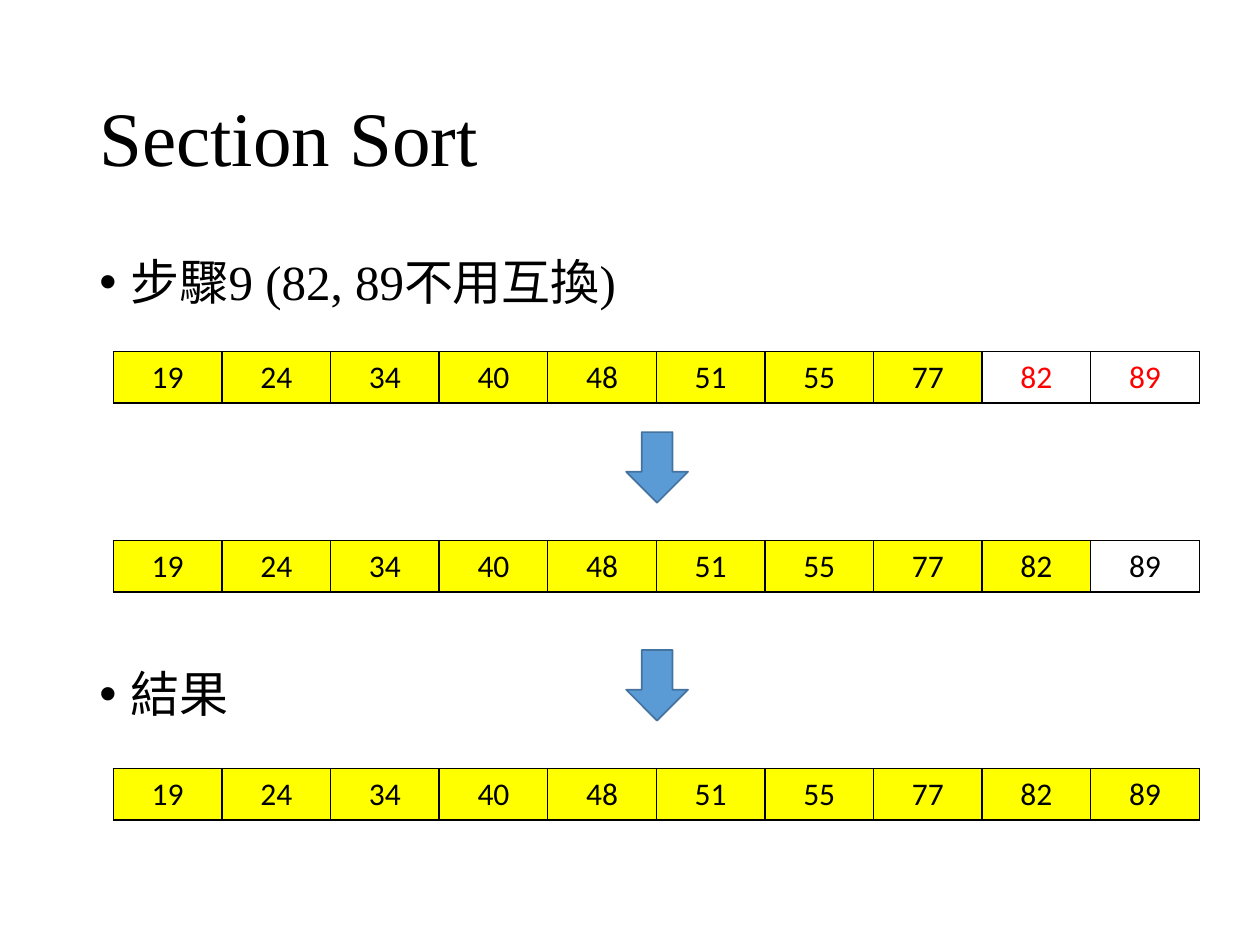
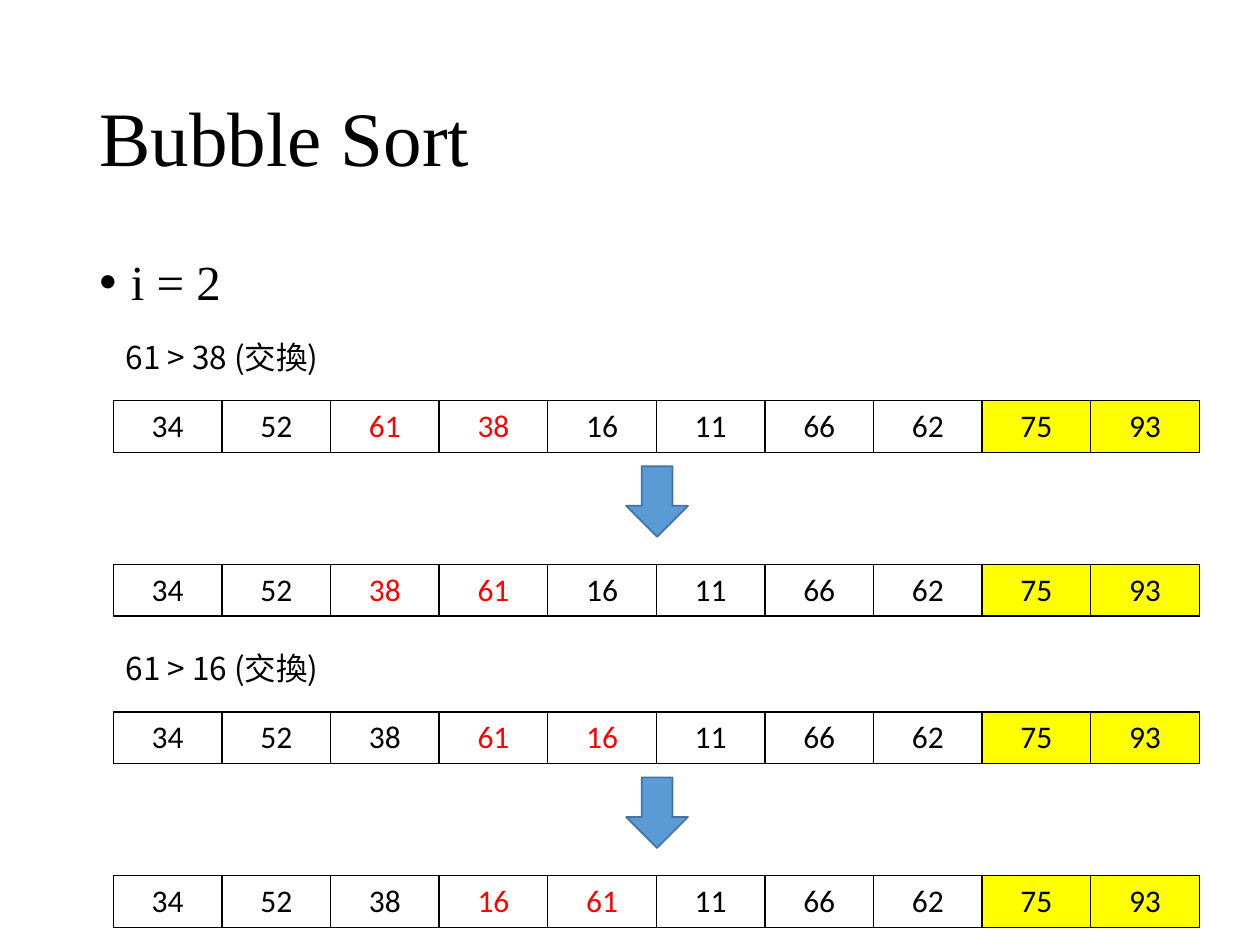
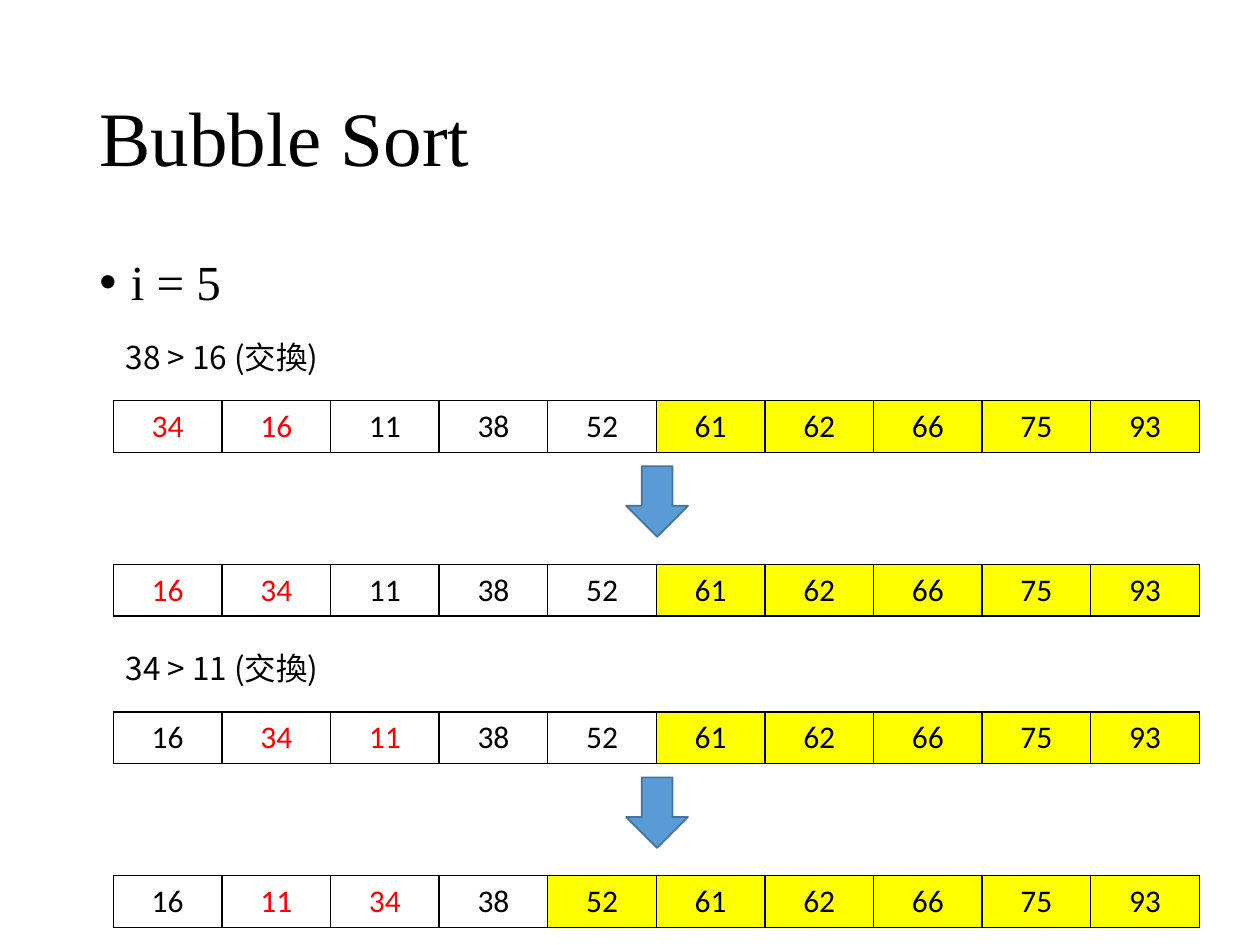
from dataclasses import dataclass

from lxml import etree
from pptx import Presentation
from pptx.dml.color import RGBColor
from pptx.enum.shapes import MSO_SHAPE
from pptx.enum.text import MSO_ANCHOR, MSO_AUTO_SIZE, PP_ALIGN
from pptx.oxml.ns import qn
from pptx.util import Inches, Pt

DOWN_ARROW = MSO_SHAPE.DOWN_ARROW
MIDDLE = MSO_ANCHOR.MIDDLE
CENTER = PP_ALIGN.CENTER
FIT_SHAPE = MSO_AUTO_SIZE.SHAPE_TO_FIT_TEXT

COLORS = {
    "text": "000000",
    "compared": "FF0000",
    "sorted": "FFFF00",
    "border": "000000",
    "arrow": "5B9BD5",
    "arrow_line": "43739E",
}
SERIF = "Times New Roman"
CELL_FONT = "Calibri"
CJK_FONT = "Noto Sans CJK SC"

TEXT_LEFT, TEXT_WIDTH = 0.69, 8.62
ARRAY_LEFT, ARRAY_WIDTH, ARRAY_HEIGHT = 0.9, 8.62, 0.41
ARROW_LEFT, ARROW_WIDTH, ARROW_HEIGHT = 4.97, 0.49, 0.56
EXCHANGE_TOP, EXCHANGE_PITCH = 2.63, 2.47


@dataclass
class ArrayRow:
    top: float
    values: list[int]
    sorted_cells: range
    compared_cells: range = range(0)


@dataclass
class Bullet:
    text: str
    space_before: float = 0


@dataclass
class Exchange:
    """Neighbours at index and index + 1 are compared and swapped."""
    label: str
    values: list[int]
    index: int
    sorted_from: int
    sorted_from_after: int


@dataclass
class BubblePass:
    heading: str
    exchanges: list[Exchange]


SELECTION_VALUES = [19, 24, 34, 40, 48, 51, 55, 77, 82, 89]
SELECTION_BULLETS = [Bullet("步驟9 (82, 89不用互換)"), Bullet("結果", 205)]
SELECTION_ROWS = [
    ArrayRow(2.79, SELECTION_VALUES, range(8), range(8, 10)),
    ArrayRow(4.29, SELECTION_VALUES, range(9)),
    ArrayRow(6.1, SELECTION_VALUES, range(10)),
]
SELECTION_ARROW_TOPS = [3.43, 5.16]

BUBBLE_PASSES = [
    BubblePass("i = 2", [
        Exchange("61 > 38 (交換)", [34, 52, 61, 38, 16, 11, 66, 62, 75, 93], 2, 8, 8),
        Exchange("61 > 16 (交換)", [34, 52, 38, 61, 16, 11, 66, 62, 75, 93], 3, 8, 8),
    ]),
    BubblePass("i = 5", [
        Exchange("38 > 16 (交換)", [34, 16, 11, 38, 52, 61, 62, 66, 75, 93], 0, 5, 5),
        Exchange("34 > 11 (交換)", [16, 34, 11, 38, 52, 61, 62, 66, 75, 93], 1, 5, 4),
    ]),
]


def rgb(name: str) -> RGBColor:
    return RGBColor.from_string(COLORS[name])


def format_runs(paragraph, size: float, font_name: str, color: str = "text") -> None:
    for run in paragraph.runs:
        run.font.size = Pt(size)
        run.font.color.rgb = rgb(color)
        run.font.name = font_name
        east_asian = etree.SubElement(run.font._element, qn("a:ea"))
        east_asian.set("typeface", CJK_FONT)


def add_text_frame(slide, left: float, top: float, width: float, height: float):
    box = slide.shapes.add_textbox(Inches(left), Inches(top), Inches(width), Inches(height))
    box.text_frame.word_wrap = True
    return box.text_frame


def add_title(slide, text: str) -> None:
    frame = add_text_frame(slide, TEXT_LEFT, 0.4, TEXT_WIDTH, 1.45)
    frame.vertical_anchor = MIDDLE
    frame.text = text
    paragraph = frame.paragraphs[0]
    paragraph.line_spacing = 0.9
    format_runs(paragraph, 44, SERIF)


def add_bullets(slide, bullets: list[Bullet]) -> None:
    frame = add_text_frame(slide, TEXT_LEFT, 2, TEXT_WIDTH, 4.76)
    frame.text = "\n".join(bullet.text for bullet in bullets)
    for paragraph, bullet in zip(frame.paragraphs, bullets):
        paragraph.line_spacing = 0.9
        paragraph.space_before = Pt(bullet.space_before)
        properties = paragraph._p.get_or_add_pPr()
        properties.set("marL", str(Inches(0.25)))
        properties.set("indent", str(Inches(-0.25)))
        etree.SubElement(properties, qn("a:buFont")).set("typeface", "Arial")
        etree.SubElement(properties, qn("a:buChar")).set("char", "•")
        format_runs(paragraph, 28, SERIF)


def add_label(slide, text: str, top: float) -> None:
    frame = add_text_frame(slide, ARRAY_LEFT, top, 2.1, 0.4)
    frame.word_wrap = False
    frame.auto_size = FIT_SHAPE
    frame.text = text
    format_runs(frame.paragraphs[0], 18, CJK_FONT)


def add_cell_borders(cell) -> None:
    properties = cell._tc.get_or_add_tcPr()
    for side in ("lnL", "lnR", "lnT", "lnB"):
        line = etree.SubElement(properties, qn(f"a:{side}"), w=str(Pt(1)))
        fill = etree.SubElement(line, qn("a:solidFill"))
        etree.SubElement(fill, qn("a:srgbClr"), val=COLORS["border"])


def add_array(slide, row: ArrayRow) -> None:
    table = slide.shapes.add_table(
        1, len(row.values), Inches(ARRAY_LEFT), Inches(row.top),
        Inches(ARRAY_WIDTH), Inches(ARRAY_HEIGHT),
    ).table
    table.first_row = False
    table.horz_banding = False
    for index, value in enumerate(row.values):
        cell = table.cell(0, index)
        add_cell_borders(cell)
        if index in row.sorted_cells:
            cell.fill.solid()
            cell.fill.fore_color.rgb = rgb("sorted")
        else:
            cell.fill.background()
        cell.vertical_anchor = MIDDLE
        cell.text_frame.text = str(value)
        paragraph = cell.text_frame.paragraphs[0]
        paragraph.alignment = CENTER
        color = "compared" if index in row.compared_cells else "text"
        format_runs(paragraph, 18, CELL_FONT, color)


def add_arrow(slide, top: float) -> None:
    arrow = slide.shapes.add_shape(
        DOWN_ARROW, Inches(ARROW_LEFT), Inches(top), Inches(ARROW_WIDTH), Inches(ARROW_HEIGHT)
    )
    arrow.shadow.inherit = False
    arrow.fill.solid()
    arrow.fill.fore_color.rgb = rgb("arrow")
    arrow.line.color.rgb = rgb("arrow_line")
    arrow.line.width = Pt(1)


def add_exchange(slide, exchange: Exchange, top: float) -> None:
    """Label, array before, arrow, array after."""
    left, right = exchange.index, exchange.index + 1
    swapped = list(exchange.values)
    swapped[left], swapped[right] = swapped[right], swapped[left]
    compared = range(left, right + 1)
    count = len(swapped)
    add_label(slide, exchange.label, top)
    add_array(slide, ArrayRow(top + 0.55, exchange.values,
                              range(exchange.sorted_from, count), compared))
    add_arrow(slide, top + 1.07)
    add_array(slide, ArrayRow(top + 1.85, swapped,
                              range(exchange.sorted_from_after, count), compared))


def add_sort_slide(presentation, title: str, bullets: list[Bullet]):
    slide = presentation.slides.add_slide(presentation.slide_layouts[6])
    add_title(slide, title)
    add_bullets(slide, bullets)
    return slide


def main() -> None:
    presentation = Presentation()
    presentation.slide_width = Inches(10)
    presentation.slide_height = Inches(7.5)

    # Last selection step and result
    slide = add_sort_slide(presentation, "Section Sort", SELECTION_BULLETS)
    for row in SELECTION_ROWS:
        add_array(slide, row)
    for top in SELECTION_ARROW_TOPS:
        add_arrow(slide, top)

    # Bubble sort passes
    for bubble_pass in BUBBLE_PASSES:
        slide = add_sort_slide(presentation, "Bubble Sort", [Bullet(bubble_pass.heading)])
        for position, exchange in enumerate(bubble_pass.exchanges):
            add_exchange(slide, exchange, EXCHANGE_TOP + position * EXCHANGE_PITCH)

    presentation.save("out.pptx")


if __name__ == "__main__":
    main()
